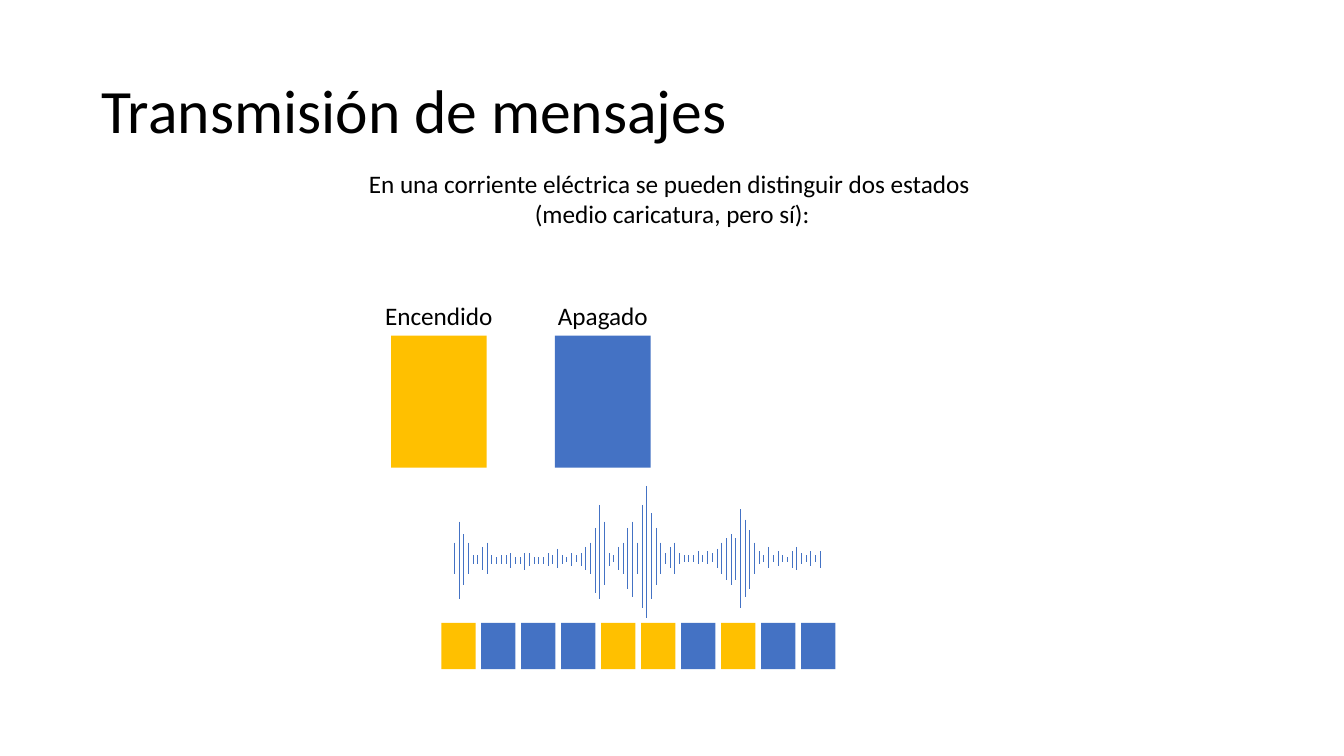
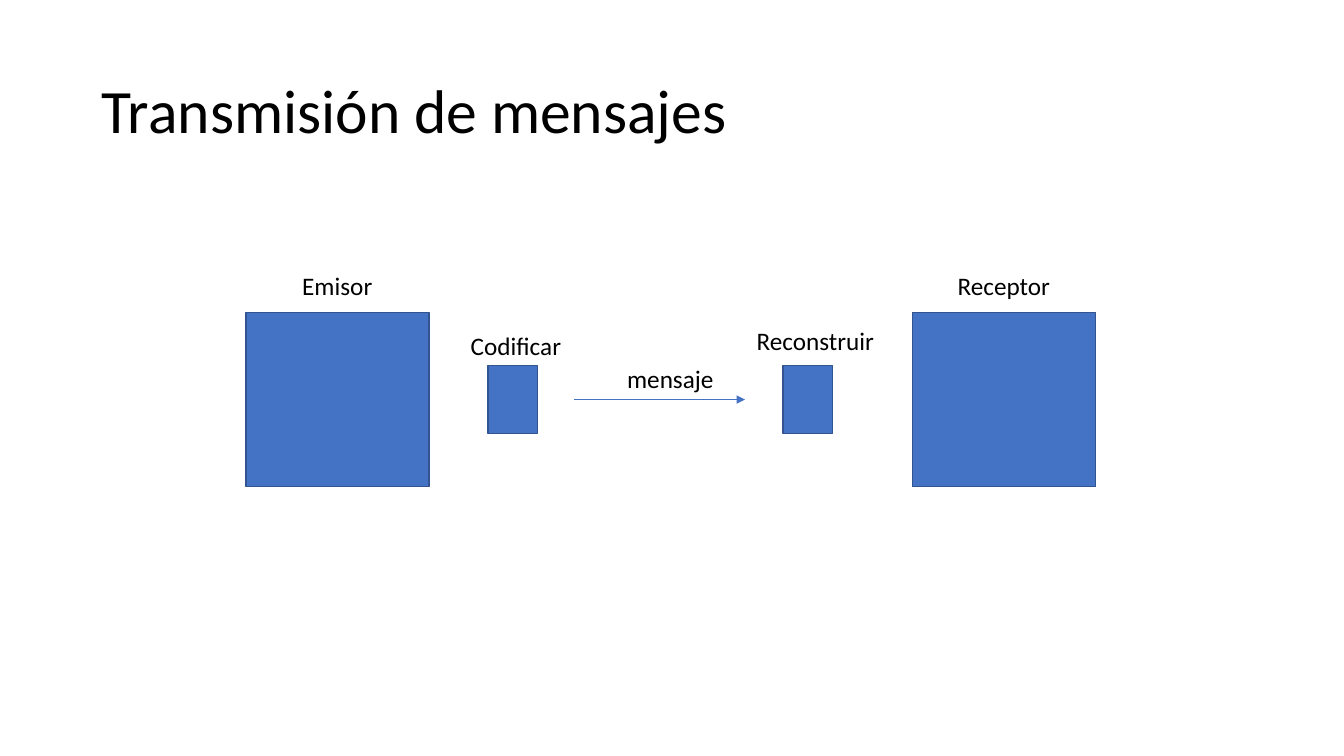
from itertools import chain
from pptx import Presentation
from pptx.dml.color import RGBColor
from pptx.enum.shapes import MSO_CONNECTOR, MSO_SHAPE
from pptx.enum.text import MSO_ANCHOR, MSO_AUTO_SIZE, PP_ALIGN
from pptx.oxml.ns import qn
from pptx.util import Pt
from lxml.etree import SubElement

HUES = {"on": "FFC000", "off": "4472C4", "edge": "325491", "text": "000000"}
FONT = "Calibri"
TITLE = "Transmisión de mensajes"
BITS = "1000110100"

# The signal by phase: how far each bar goes above and below the axis.
# One base-36 digit per bar (0-9, then a-z), each unit worth STEP points.
STEP = 1.5
SIGNAL = {
    "attack": ("8ic82268", "7jc72257"),
    "calm": ("21223113311132521323", "22224225322232421313"),
    "first peak": ("68fqi32", "57gjc31"),
    "main peak": ("68fi8qzmf8", "57ei7nsjc7"),
    "lull": ("36832224243", "24721112121"),
    "last peak": ("58acaoje8", "47acanie7"),
    "fade": ("42624214632424", "21413114521314"),
}


def hue(name):
    return RGBColor.from_string(HUES[name])


def reach(digit):
    """Length in points of one half of a signal bar."""
    return int(digit, 36) * STEP


class Deck:
    def __init__(self):
        self.prs = Presentation()
        self.prs.slide_width, self.prs.slide_height = Pt(960), Pt(540)
        self.slide = None

    def style(self, para, size, align):
        para.alignment = align
        para.font.name = FONT
        para.font.size = Pt(size)
        para.font.color.rgb = hue("text")

    def start(self):
        """Add a slide with the shared title."""
        self.slide = self.prs.slides.add_slide(self.prs.slide_layouts[5])
        head = self.slide.shapes.title
        head.left, head.top, head.width, head.height = Pt(65.5), Pt(28.8), Pt(725), Pt(104.4)
        frame = head.text_frame
        frame.text = TITLE
        frame.auto_size = MSO_AUTO_SIZE.NONE
        frame.vertical_anchor = MSO_ANCHOR.MIDDLE
        para = frame.paragraphs[0]
        para.line_spacing = 0.9
        self.style(para, 44, PP_ALIGN.LEFT)

    def rect(self, x, y, w, h, fill, edge=None):
        box = self.slide.shapes.add_shape(MSO_SHAPE.RECTANGLE, Pt(x), Pt(y), Pt(w), Pt(h))
        box.shadow.inherit = False
        box.fill.solid()
        box.fill.fore_color.rgb = hue(fill)
        if edge:
            box.line.color.rgb = hue(edge)
            box.line.width = Pt(1)
        else:
            box.line.fill.background()

    def label(self, text, x, y, w, h=28.8, align=PP_ALIGN.LEFT, wrap=False):
        box = self.slide.shapes.add_textbox(Pt(x), Pt(y), Pt(w), Pt(h))
        frame = box.text_frame
        frame.text = text
        frame.word_wrap = wrap
        frame.auto_size = MSO_AUTO_SIZE.SHAPE_TO_FIT_TEXT
        for para in frame.paragraphs:
            self.style(para, 18, align)

    def line(self, x1, y1, x2, y2, arrow=False):
        link = self.slide.shapes.add_connector(
            MSO_CONNECTOR.STRAIGHT, Pt(x1), Pt(y1), Pt(x2), Pt(y2))
        link.line.color.rgb = hue("off")
        link.line.width = Pt(0.5)
        if arrow:
            SubElement(link.line._get_or_add_ln(), qn("a:tailEnd"), type="triangle")
        SubElement(link._element.spPr, qn("a:effectLst"))

    def wave(self, left, axis, pitch):
        """Draw the signal as upright bars across a level axis."""
        bars = chain.from_iterable(zip(up, down) for up, down in SIGNAL.values())
        for i, (up, down) in enumerate(bars):
            x = left + i * pitch
            self.line(x, axis - reach(up), x, axis + reach(down))

    def tiles(self, left, top, pitch, w, h):
        """Draw the bits as a row of coloured tiles."""
        for i, bit in enumerate(BITS):
            self.rect(left + i * pitch, top, w, h, "on" if bit == "1" else "off")


def states(deck):
    deck.start()
    deck.label("En una corriente eléctrica se pueden distinguir dos estados \n"
               "(medio caricatura, pero sí):", 253.4, 116.6, 453.6, 51.1, PP_ALIGN.CENTER)
    top, wide, high = 239.8, 68.4, 94.3
    for text, fill, mid, span in (("Encendido", "on", 313.5, 91.4),
                                  ("Apagado", "off", 430.6, 79.2)):
        deck.rect(mid - wide / 2, top, wide, high, fill)
        deck.label(text, mid - span / 2, top - 28.8, span, align=PP_ALIGN.CENTER)
    deck.wave(left=324.5, axis=399.6, pitch=3.35)
    deck.tiles(left=315.2, top=444.9, pitch=28.56, w=24.5, h=33.1)


def channel(deck):
    deck.start()
    axis = 285.4
    node, coder = (131, 124.6), (35.3, 48.2)
    # Text, place of the label, its width and wrap; then left and size of the box
    for text, x, y, span, wrap, left, (w, h) in (
            ("Emisor", 208.8, 189.4, 64.8, False, 175.6, node),
            ("Codificar", 329.2, 232.1, 89.3, True, 348.5, coder),
            ("Reconstruir", 533.4, 229, 102.2, True, 559.4, coder),
            ("Receptor", 677, 189.4, 81.4, False, 651.6, node)):
        deck.rect(left, axis - h / 2, w, h, "off", "edge")
        deck.label(text, x, y, span, wrap=wrap)
    deck.line(410.2, axis, 532.1, axis, arrow=True)
    deck.label("mensaje", 440.9, 256.3, 77)


def main():
    deck = Deck()
    states(deck)
    channel(deck)
    deck.prs.save("out.pptx")


if __name__ == "__main__":
    main()
